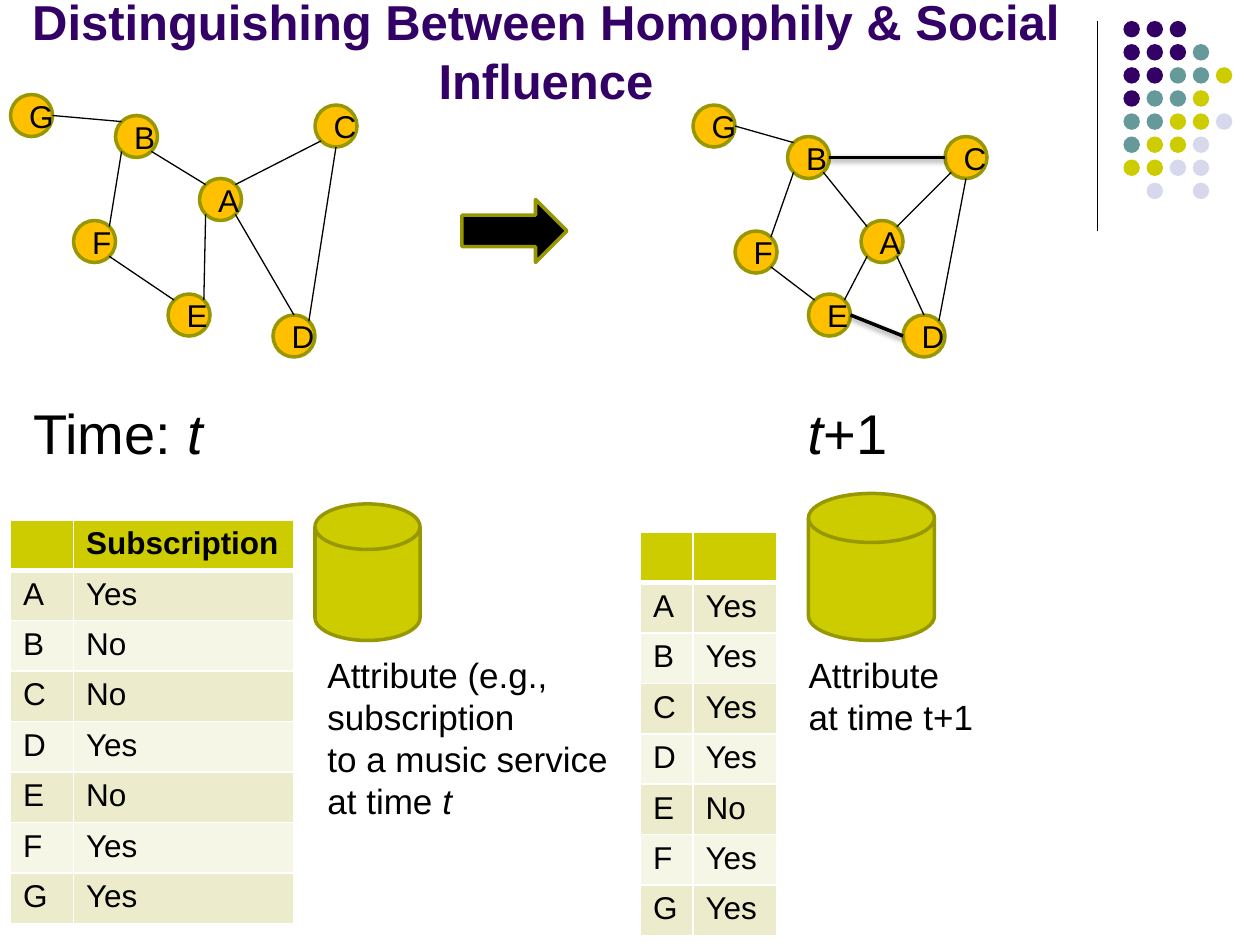
from lxml import etree
from pptx import Presentation
from pptx.dml.color import RGBColor
from pptx.enum.shapes import MSO_CONNECTOR as Connector, MSO_SHAPE as Shape
from pptx.enum.text import MSO_ANCHOR as Anchor, PP_ALIGN as Align
from pptx.oxml import parse_xml
from pptx.oxml.ns import nsdecls, qn
from pptx.util import Pt

rgb = RGBColor.from_string
BLACK, WHITE, PURPLE, TEAL = "000000", "FFFFFF", "330066", "669999"
YELLOW, OLIVE, LAVENDER, ORANGE = "CCCC00", "979700", "D8D8EC", "FFC000"


def write(frame, text, size=18, color=BLACK, bold=False, align=Align.LEFT):
    """Write one paragraph per line of text; parts between asterisks are italic."""
    for index, line in enumerate(text.split("\n")):
        paragraph = frame.add_paragraph() if index else frame.paragraphs[0]
        paragraph.alignment = align
        for part, words in enumerate(line.split("*")):
            if words:
                run = paragraph.add_run()
                run.text = words
                font = run.font
                font.name, font.size = "Arial", Pt(size)
                font.bold, font.italic = bold, part % 2 == 1
                font.color.rgb = rgb(color)


def add_filled(kind, left, top, width, height, fill, line=None):
    shape = slide.shapes.add_shape(kind, Pt(left), Pt(top), Pt(width), Pt(height))
    shape.shadow.inherit = False
    shape.fill.solid()
    shape.fill.fore_color.rgb = rgb(fill)
    if line:
        shape.line.color.rgb = rgb(line)
        shape.line.width = Pt(2)
    else:
        shape.line.fill.background()
    return shape


presentation = Presentation()
presentation.slide_width, presentation.slide_height = Pt(720), Pt(540)
slide = presentation.slides.add_slide(presentation.slide_layouts[6])

# Dot pattern in the corner
dot_colors = {"P": PURPLE, "T": TEAL, "Y": YELLOW, "L": LAVENDER}
dot_rows = ["PPP", "PPPT", "PPTTY", "PTTY", "TTYYL", "TYYL", "YYLL", " L L"]
for row, letters in enumerate(dot_rows):
    for column, letter in enumerate(letters):
        if letter in dot_colors:
            add_filled(Shape.OVAL, 642 + 13.2 * column, 12 + 13.2 * row,
                       9.4, 9.4, dot_colors[letter])

# Networks: both share the same edges, the later one gains two
NODE = 24
NEAR, FAR = 3.5, 20.5
sites = {"top": (12, 0), "bottom": (12, NODE), "left": (0, 12), "right": (NODE, 12),
         "top left": (NEAR, NEAR), "top right": (FAR, NEAR),
         "bottom left": (NEAR, FAR), "bottom right": (FAR, FAR)}
shared_edges = [
    ("B", "bottom right", "A", "top left"), ("G", "right", "B", "top left"),
    ("B", "bottom left", "F", "top right"), ("F", "bottom right", "E", "top left"),
    ("E", "top right", "A", "bottom left"), ("A", "top right", "C", "bottom left"),
    ("A", "bottom right", "D", "top"), ("C", "bottom", "D", "top right"),
]
new_edges = [("B", "right", "C", "left"), ("E", "right", "D", "left")]
nodes_before = {"B": (66, 66), "A": (114, 102), "E": (96, 168), "G": (6, 54),
                "F": (42, 126), "D": (156, 180), "C": (180, 60)}
nodes_after = {"B": (450, 78), "A": (492, 126), "E": (462, 168), "G": (396, 60),
               "F": (420, 132), "D": (516, 180), "C": (540, 78)}

lines = [(627, 12, 627, 132, False)]  # divider beside the dots
for nodes, added in ((nodes_before, []), (nodes_after, new_edges)):
    for name, (left, top) in nodes.items():
        node = add_filled(Shape.OVAL, left, top, NODE, NODE, ORANGE, OLIVE)
        node.text_frame.vertical_anchor = Anchor.MIDDLE
        write(node.text_frame, name, align=Align.CENTER)
    for edge in shared_edges + added:
        start, start_site, end, end_site = edge
        (x1, y1), (x2, y2) = nodes[start], nodes[end]
        (dx1, dy1), (dx2, dy2) = sites[start_site], sites[end_site]
        lines.append((x1 + dx1, y1 + dy1, x2 + dx2, y2 + dy2, edge in added))

SHADOW = (f'<a:effectLst {nsdecls("a")}><a:outerShdw blurRad="40000" dist="20000" '
          'dir="5400000" rotWithShape="0"><a:srgbClr val="000000">'
          '<a:alpha val="38000"/></a:srgbClr></a:outerShdw></a:effectLst>')
NO_SHADOW = f'<a:effectLst {nsdecls("a")}/>'
for x1, y1, x2, y2, is_new in lines:
    connector = slide.shapes.add_connector(
        Connector.STRAIGHT, Pt(x1), Pt(y1), Pt(x2), Pt(y2))
    connector.line.color.rgb = rgb(BLACK)
    connector.line.width = Pt(2 if is_new else 0.75)
    connector._element.spPr.append(parse_xml(SHADOW if is_new else NO_SHADOW))

add_filled(Shape.RIGHT_ARROW, 264, 114, 60, 36, BLACK, OLIVE)
for box in ((180, 288, 60, 78), (462, 282, 72, 84)):
    add_filled(Shape.FLOWCHART_MAGNETIC_DISK, *box, YELLOW, OLIVE)

# Title and labels
labels = [
    ((-12, -24, 648, 90), "Distinguishing Between Homophily & Social Influence",
     dict(size=28, color=PURPLE, bold=True, align=Align.CENTER)),
    ((12, 224, 130, 46), "Time: *t*", dict(size=32)),
    ((454.5, 224, 80, 46), "*t*+1", dict(size=32)),
    ((180, 370, 182, 104),
     "Attribute (e.g.,\nsubscription\nto a music service\nat time *t*", dict(size=20)),
    ((455, 370, 109, 55), "Attribute\nat time t+1", dict(size=20)),
]
for box, text, text_format in labels:
    frame = slide.shapes.add_textbox(*map(Pt, box)).text_frame
    frame.word_wrap = True
    frame.vertical_anchor = Anchor.BOTTOM if text_format.get("bold") else Anchor.TOP
    write(frame, text, **text_format)

# Subscription tables
ROW_HEIGHT = 28.8
tables = [
    (6, 297, (36, 126), "Subscription", "Yes No No Yes No Yes Yes"),
    (366, 304, (30, 48), "", "Yes Yes Yes Yes No Yes Yes"),
]
for left, top, widths, heading, answers in tables:
    rows = [("", heading), *zip("ABCDEFG", answers.split())]
    table = slide.shapes.add_table(len(rows), 2, Pt(left), Pt(top), Pt(sum(widths)),
                                   Pt(ROW_HEIGHT * len(rows))).table
    for column, width in zip(table.columns, widths):
        column.width = Pt(width)
    for row, values in enumerate(rows):
        table.rows[row].height = Pt(ROW_HEIGHT)
        for column, value in enumerate(values):
            cell = table.cell(row, column)
            properties = cell._tc.get_or_add_tcPr()
            for side in "LRTB":
                thick = (row, side) in ((0, "B"), (1, "T"))
                border = etree.SubElement(properties, qn(f"a:ln{side}"),
                                          w=str(Pt(3 if thick else 1)))
                fill = etree.SubElement(border, qn("a:solidFill"))
                etree.SubElement(fill, qn("a:srgbClr"), val=WHITE)
            cell.fill.solid()
            band = "ECECCC" if row % 2 else "F6F6E7"
            cell.fill.fore_color.rgb = rgb(band if row else YELLOW)
            write(cell.text_frame, value, bold=row == 0)

presentation.save("out.pptx")
